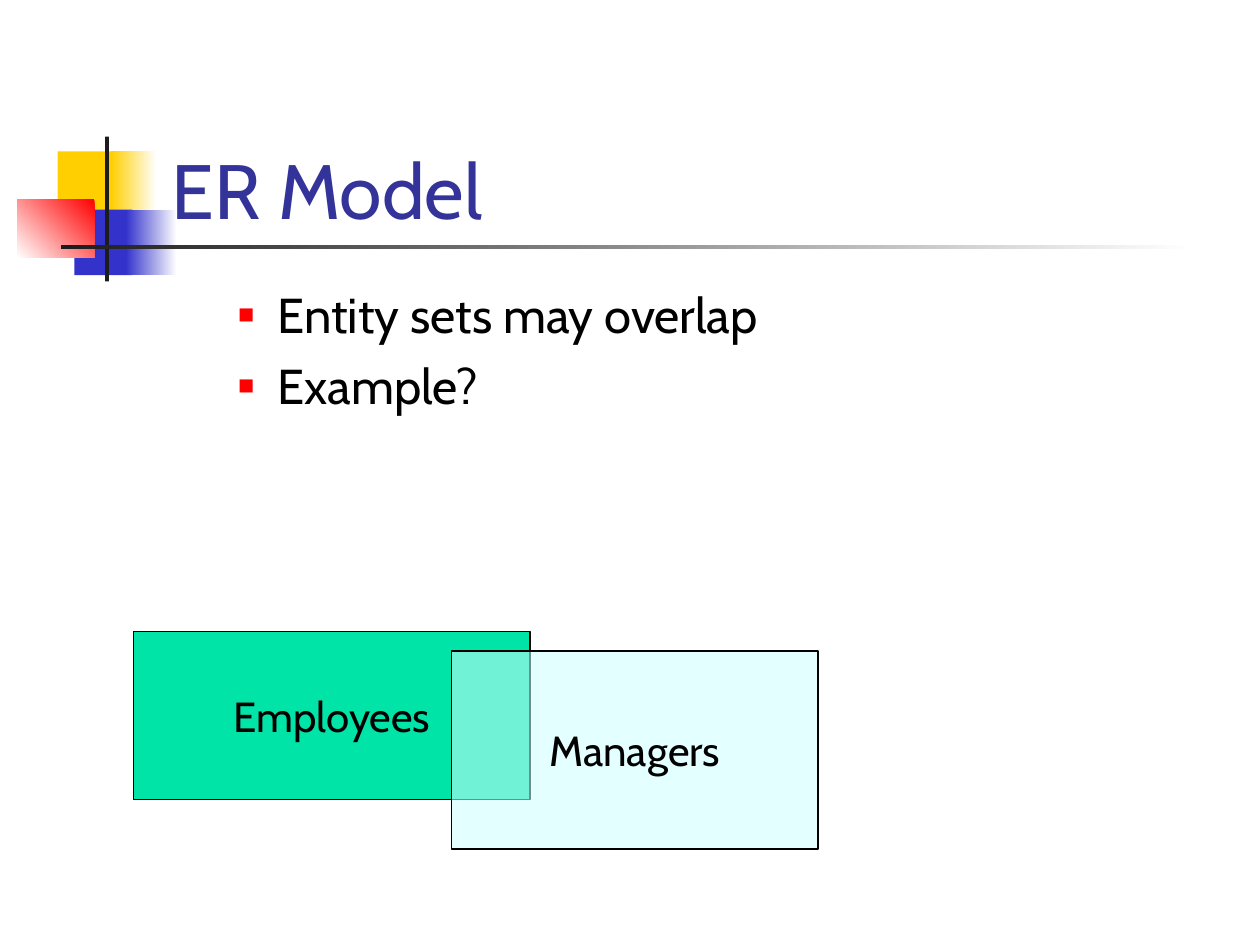
from pptx import Presentation, util as u
from pptx.dml.color import RGBColor
from pptx.enum import shapes, text
from pptx.oxml.ns import qn
from lxml import etree

Pt = u.Pt


def rgb(value):
    return RGBColor.from_string(value)


def add_text(p, content, font="Cabin", size=24, color="000000", align=text.PP_ALIGN.LEFT):
    p.alignment = align
    r = p.add_run()
    r.text = content
    r.font.name = font
    r.font.size = Pt(size)
    r.font.color.rgb = rgb(color)


def add_bullet(p, color="FF0000", percent=55, left=58.5, hang=22.5):
    pPr = p._p.get_or_add_pPr()
    pPr.set("marL", str(Pt(left)))
    pPr.set("indent", str(-Pt(hang)))
    clr = etree.SubElement(pPr, qn("a:buClr"))
    etree.SubElement(clr, qn("a:srgbClr")).set("val", color)
    etree.SubElement(pPr, qn("a:buSzPct")).set("val", str(percent * 1000))
    etree.SubElement(pPr, qn("a:buFont")).set("typeface", "Arial")
    etree.SubElement(pPr, qn("a:buChar")).set("char", "■")


class Deck:
    title_color = "333399"
    line_color = "000000"

    def __init__(self, width, height):
        self.prs = Presentation()
        self.prs.slide_width, self.prs.slide_height = Pt(width), Pt(height)
        self.s = self.prs.slides.add_slide(self.prs.slide_layouts[5])

    def block(self, box, color=None, gradient=None, angle=180):
        """Borderless rectangle, solid or with a two-colour gradient."""
        sp = self.s.shapes.add_shape(shapes.MSO_SHAPE.RECTANGLE, *map(Pt, box))
        sp.shadow.inherit = False
        sp.line.fill.background()
        if gradient:
            sp.fill.gradient()
            sp.fill.gradient_angle = angle
            for stop, stop_color in zip(sp.fill.gradient_stops, gradient):
                stop.color.rgb = rgb(stop_color)
        else:
            sp.fill.solid()
            sp.fill.fore_color.rgb = rgb(color)
        return sp

    def entity(self, box, label, color, opacity=100):
        sp = self.block(box, color)
        if opacity < 100:
            clr = sp.element.spPr.find(".//" + qn("a:srgbClr"))
            etree.SubElement(clr, qn("a:alpha")).set("val", str(opacity * 1000))
        sp.line.color.rgb = rgb(self.line_color)
        sp.line.width = Pt(0.75)
        tf = sp.text_frame
        tf.word_wrap = False
        tf.vertical_anchor = text.MSO_ANCHOR.MIDDLE
        add_text(tf.paragraphs[0], label, align=text.PP_ALIGN.CENTER)

    def title(self, box, content):
        sp = self.s.shapes.title
        sp.left, sp.top, sp.width, sp.height = map(Pt, box)
        tf = sp.text_frame
        tf.auto_size = text.MSO_AUTO_SIZE.NONE
        tf.vertical_anchor = text.MSO_ANCHOR.BOTTOM
        add_text(tf.paragraphs[0], content, size=44, color=self.title_color)
        sp.element.getparent().append(sp.element)  # in front of the ornament

    def bullets(self, box, items):
        tf = self.s.shapes.add_textbox(*map(Pt, box)).text_frame
        tf.word_wrap = True
        for i, item in enumerate(items):
            p = tf.add_paragraph() if i else tf.paragraphs[0]
            p.space_before = Pt(7)
            add_bullet(p)
            add_text(p, item, size=28)


def main():
    white, yellow, blue, red, dark = "FFFFFF", "FFCF01", "3333CC", "FF0000", "1C1C1C"
    deck = Deck(720, 540)

    deck.block((33, 86.5, 34.5, 37.5), yellow)
    deck.block((63.5, 86.5, 26, 37.5), gradient=(white, yellow))
    deck.block((42.5, 119.75, 33, 37.5), blue)
    deck.block((72, 119.75, 29, 37.5), gradient=(white, blue))
    deck.block((10, 113.75, 44, 33.5), gradient=(red, white), angle=225)
    deck.block((60, 78, 2.25, 82.75), dark)
    deck.block((34.75, 140.25, 648, 2.25), gradient=(white, dark))

    deck.title((91, 48, 613.5, 90), "ER Model")
    deck.bullets((93, 159, 612, 201.5), ["Entity sets may overlap", "Example?"])
    deck.entity((76.5, 360.75, 226.5, 96), "Employees", "00E4A8")
    deck.entity((258, 372, 209.5, 113.25), "Managers", "CCFFFF", opacity=55)

    deck.prs.save("out.pptx")


if __name__ == "__main__":
    main()
